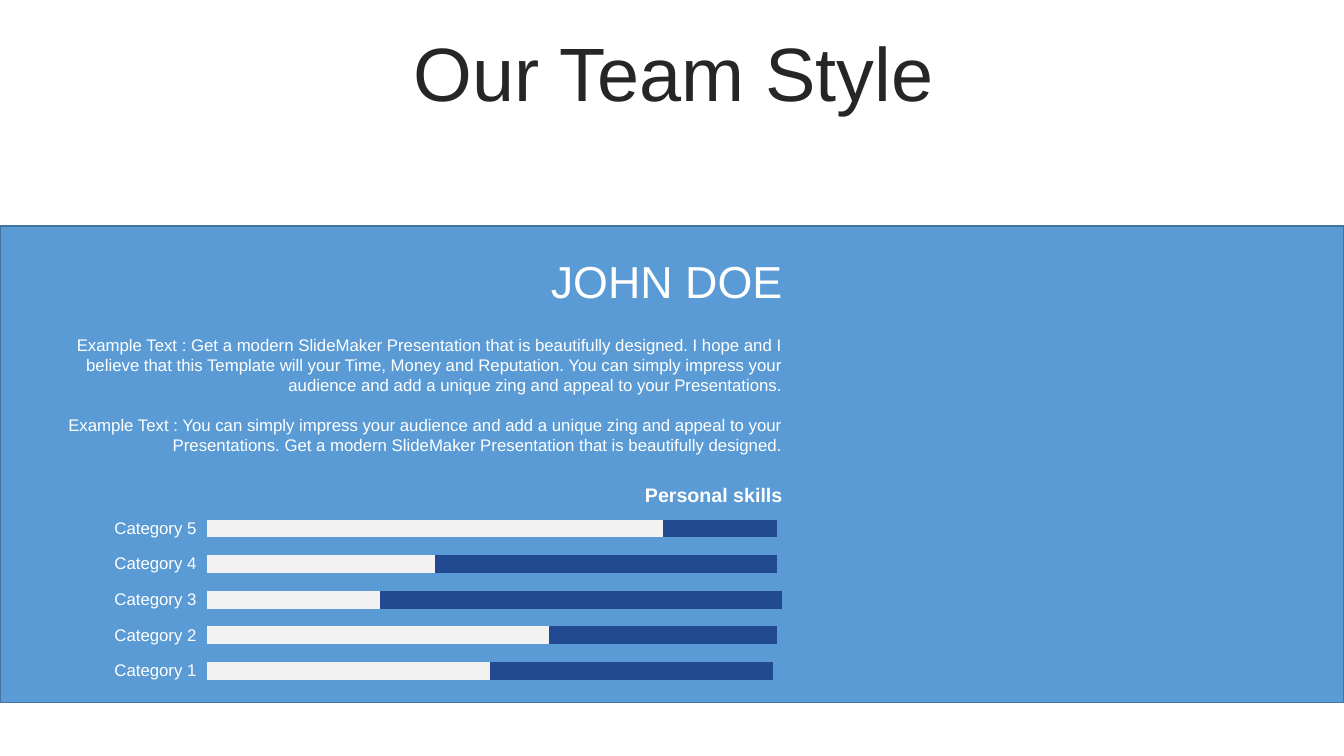
"""Build a team profile slide with a biography and a stacked skills chart."""
import lxml.etree
import pptx
import pptx.chart.data
import pptx.dml.color
import pptx.enum.chart
import pptx.enum.shapes
import pptx.enum.text
import pptx.oxml.ns
import pptx.util

RGBColor = pptx.dml.color.RGBColor
WHITE = RGBColor(0xFF, 0xFF, 0xFF)
TITLE_GREY = RGBColor(0x26, 0x26, 0x26)
PANEL_BLUE = RGBColor(0x5A, 0x9B, 0xD5)
PANEL_EDGE = RGBColor(0x43, 0x73, 0x9E)
SKILL_GREY = RGBColor(0xF2, 0xF2, 0xF2)
REST_BLUE = RGBColor(0x22, 0x4A, 0x90)

FONT = "Arial"
SLIDE_WIDTH = pptx.util.Inches(13.33)
SLIDE_HEIGHT = pptx.util.Inches(7.5)
TEXT_LEFT, TEXT_WIDTH = 2.18, 56.79

BIOGRAPHY = [
    "Example Text : Get a modern SlideMaker Presentation that is beautifully designed. "
    "I hope and I believe that this Template will your Time, Money and Reputation. "
    "You can simply impress your audience and add a unique zing and appeal to your Presentations.",
    "Example Text : You can simply impress your audience and add a unique zing and appeal "
    "to your Presentations. Get a modern SlideMaker Presentation that is beautifully designed.",
]
SKILLS = [62, 75, 38, 50, 100]
REMAINDERS = [62, 50, 88, 75, 25]
PLOT_LAYOUT = {"x": 0.13, "y": 0.02, "w": 0.85, "h": 0.96}


def place(left, top, width, height):
    """Turn percentages of the slide's width and height into lengths."""
    return (
        int(SLIDE_WIDTH * left / 100),
        int(SLIDE_HEIGHT * top / 100),
        int(SLIDE_WIDTH * width / 100),
        int(SLIDE_HEIGHT * height / 100),
    )


def style_font(font, size, color, bold=False):
    """Give a font its face, size, colour and weight."""
    font.name = FONT
    font.size = pptx.util.Pt(size)
    font.color.rgb = color
    font.bold = bold


def add_panel(slide):
    """Add the full-width blue panel."""
    panel = slide.shapes.add_shape(
        pptx.enum.shapes.MSO_SHAPE.RECTANGLE, *place(0, 29.87, 100, 63.07)
    )
    panel.shadow.inherit = False
    panel.fill.solid()
    panel.fill.fore_color.rgb = PANEL_BLUE
    panel.line.color.rgb = PANEL_EDGE
    panel.line.width = pptx.util.Pt(1)


def add_text(slide, box, paragraphs, size, color=WHITE, bold=False,
             alignment=pptx.enum.text.PP_ALIGN.RIGHT, gap=0):
    """Add a wrapped text box with a gap between its paragraphs."""
    text_frame = slide.shapes.add_textbox(*place(*box)).text_frame
    text_frame.word_wrap = True
    text_frame.text = "\n".join(paragraphs)
    for index, paragraph in enumerate(text_frame.paragraphs):
        paragraph.alignment = alignment
        if index:
            paragraph.space_before = pptx.util.Pt(gap)
        for run in paragraph.runs:
            style_font(run.font, size, color, bold)
    return text_frame


def set_plot_layout(chart):
    """Fix the inner plot area as shares of the chart."""
    qn = pptx.oxml.ns.qn
    plot_area = chart.plots[0]._element.getparent()
    for layout in plot_area.findall(qn("c:layout")):
        plot_area.remove(layout)
    layout = lxml.etree.Element(qn("c:layout"))
    plot_area.insert(0, layout)
    manual = lxml.etree.SubElement(layout, qn("c:manualLayout"))
    settings = {"layoutTarget": "inner", "xMode": "edge", "yMode": "edge", **PLOT_LAYOUT}
    for name, value in settings.items():
        lxml.etree.SubElement(manual, qn(f"c:{name}")).set("val", str(value))


def add_skills_chart(slide):
    """Add the stacked bars of personal skills."""
    chart_data = pptx.chart.data.CategoryChartData()
    chart_data.categories = [f"Category {number}" for number in range(1, len(SKILLS) + 1)]
    chart_data.add_series("Series 1", SKILLS)
    chart_data.add_series("Series 2", REMAINDERS)
    chart = slide.shapes.add_chart(
        pptx.enum.chart.XL_CHART_TYPE.BAR_STACKED,
        *place(7.58, 67.07, 59.94, 24.53), chart_data
    ).chart
    chart.has_legend = False
    chart.has_title = False
    style_font(chart.font, 12, WHITE)

    plot = chart.plots[0]
    plot.gap_width = 100
    plot.overlap = 100
    plot.vary_by_categories = False
    for series, color in zip(plot.series, (SKILL_GREY, REST_BLUE)):
        series.format.fill.solid()
        series.format.fill.fore_color.rgb = color

    category_axis = chart.category_axis
    category_axis.format.line.fill.background()
    style_font(category_axis.tick_labels.font, 12, WHITE)
    value_axis = chart.value_axis
    value_axis.minimum_scale = 0
    value_axis.maximum_scale = 150
    value_axis.has_major_gridlines = False
    value_axis.visible = False
    set_plot_layout(chart)


def main():
    """Build and save the slide."""
    presentation = pptx.Presentation()
    presentation.slide_width = SLIDE_WIDTH
    presentation.slide_height = SLIDE_HEIGHT
    slide = presentation.slides.add_slide(presentation.slide_layouts[6])

    add_panel(slide)
    title = add_text(slide, (2.63, 4.93, 94.97, 10.53), ["Our Team Style"], 54,
                     TITLE_GREY, alignment=pptx.enum.text.PP_ALIGN.CENTER)
    title.vertical_anchor = pptx.enum.text.MSO_ANCHOR.MIDDLE
    title.paragraphs[0].line_spacing = 0.9
    add_text(slide, (TEXT_LEFT, 32.93, TEXT_WIDTH, 8.53), ["JOHN DOE"], 32)
    add_text(slide, (TEXT_LEFT, 43.6, TEXT_WIDTH, 17.47), BIOGRAPHY, 12, gap=14)
    add_text(slide, (TEXT_LEFT, 63.2, TEXT_WIDTH, 4.53), ["Personal skills"], 14, bold=True)
    add_skills_chart(slide)

    presentation.save("out.pptx")


if __name__ == "__main__":
    main()
